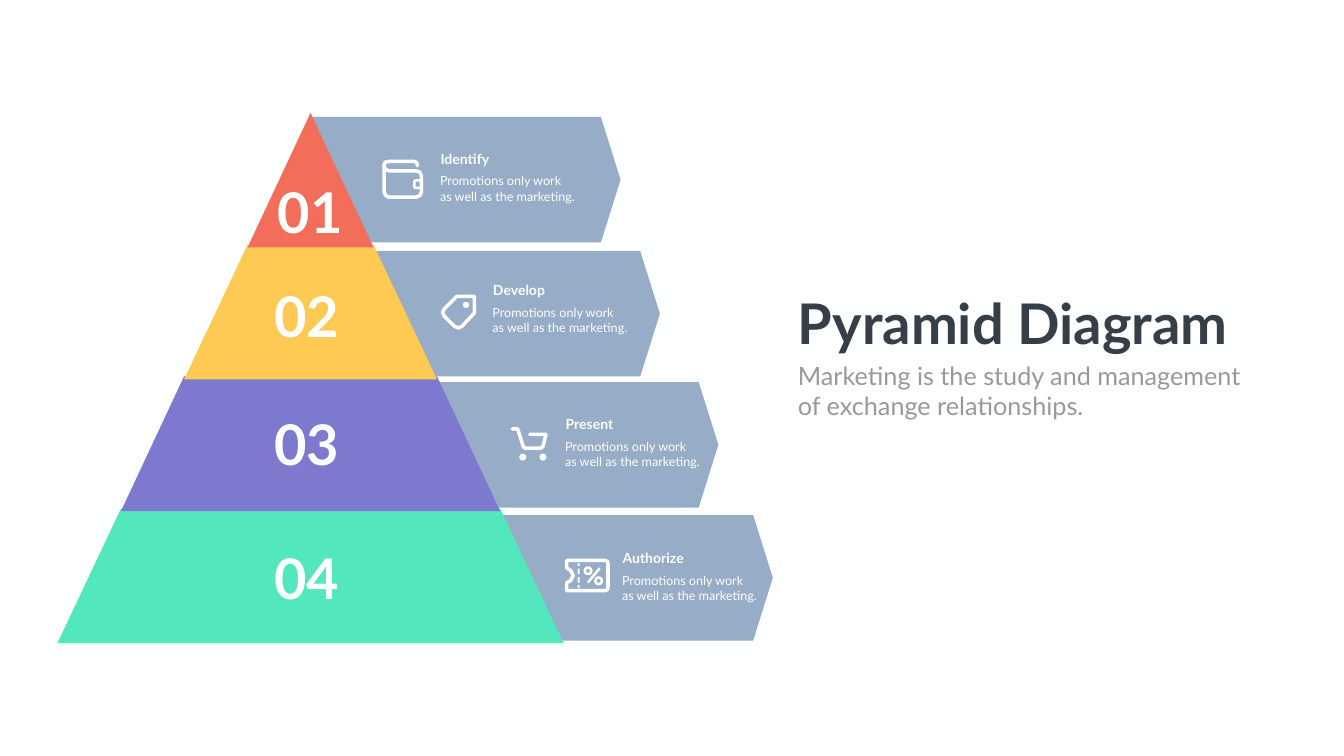
from pptx import Presentation
from pptx.dml.color import RGBColor
from pptx.enum.shapes import MSO_CONNECTOR, MSO_SHAPE
from pptx.enum.text import MSO_AUTO_SIZE
from pptx.util import Pt
from lxml import etree

PX = 9144
LINE = MSO_CONNECTOR.STRAIGHT
ARROW = MSO_SHAPE.PENTAGON
OVAL = MSO_SHAPE.OVAL
RECT = MSO_SHAPE.RECTANGLE
ROUND = MSO_SHAPE.ROUNDED_RECTANGLE
GROW = MSO_AUTO_SIZE.SHAPE_TO_FIT_TEXT
NS = "{http://schemas.openxmlformats.org/drawingml/2006/main}"
HUES = {
    "back": "FEFFFF", "banner": "97ACC7", "white": "FFFFFF",
    "red": "F26E5B", "yellow": "FECA53", "purple": "7D79CF", "green": "53E7BE",
    "title": "363E48", "gray": "989998",
}
HUES = {name: RGBColor.from_string(code) for name, code in HUES.items()}

deck = Presentation()
deck.slide_width = 2666 * PX
deck.slide_height = 1500 * PX
slide = deck.slides.add_slide(deck.slide_layouts[6])
slide.background.fill.solid()
slide.background.fill.fore_color.rgb = HUES["back"]
shapes = slide.shapes


def paint(shape, fill, width=0):
    shape.shadow.inherit = False
    if fill:
        shape.fill.solid()
        shape.fill.fore_color.rgb = HUES[fill]
    else:
        shape.fill.background()
    if width:
        shape.line.color.rgb = HUES["white"]
        shape.line.width = width * PX
        shape.line._get_or_add_ln().set("cap", "rnd")
    else:
        shape.line.fill.background()


def write(text, left, top, wide, high, size, hue, bold=False, wrap=True):
    box = shapes.add_textbox(left * PX, top * PX, wide * PX, high * PX)
    frame = box.text_frame
    frame.text = text
    frame.word_wrap = wrap
    frame.auto_size = GROW
    for para in frame.paragraphs:
        for run in para.runs:
            run.font.name = "Lato"
            run.font.size = Pt(size)
            run.font.bold = bold
            run.font.color.rgb = HUES[hue]


for top, tip in [(232, 1231), (498, 1309), (758, 1425), (1022, 1533)]:
    banner = shapes.add_shape(ARROW, 615 * PX, top * PX, (tip - 615) * PX, 249 * PX)
    banner.adjustments[0] = 39 / 249
    paint(banner, "banner")

MID, HALF, TALL = 616, 502, 267
tops = [224, 486, 747, 1009]
layers = list(zip(["red", "yellow", "purple", "green"], tops))
for step, (hue, top) in reversed(list(enumerate(layers))):
    near, far = HALF * step // 4, HALF * (step + 1) // 4
    build = shapes.build_freeform(MID - near, top, scale=PX)
    build.add_line_segments([
        (MID + near, top), (MID + far, top + TALL), (MID - far, top + TALL),
    ])
    paint(build.convert_to_shape(), hue)

wallet = [
    (762, 330), (762, 381), (765, 388), (771, 391), (826, 391), (833, 388),
    (836, 381), (836, 349), (833, 342), (826, 339), (772, 339), (765, 336),
    (761, 329), (764, 322), (772, 320), (820, 320), (826, 322), (828, 327), (828, 329),
]
tag = [
    (906, 588), (941, 588), (941, 621), (917, 647), (909, 651), (901, 647),
    (881, 627), (878, 620), (881, 613),
]
cart = [
    (1016, 851), (1027, 851), (1038, 886), (1041, 889), (1073, 889),
    (1077, 886), (1083, 862), (1051, 862),
]
ticket = [
    (1124, 1112), (1200, 1112), (1205, 1114), (1206, 1119), (1206, 1165),
    (1205, 1170), (1200, 1172), (1124, 1172), (1124, 1156), (1132, 1152),
    (1137, 1142), (1132, 1132), (1124, 1127),
]
for points, close in [(wallet, False), (tag, True), (cart, False), (ticket, True)]:
    build = shapes.build_freeform(*points[0], scale=PX)
    build.add_line_segments(points[1:], close=close)
    paint(build.convert_to_shape(), None, 7)

parts = [
    (ROUND, 822, 358, 15, 15, 5),
    (OVAL, 918, 599, 13, 12, 0),
    (OVAL, 1030, 900, 14, 14, 0),
    (OVAL, 1070, 900, 14, 14, 0),
    (OVAL, 1160, 1126, 13, 13, 5),
    (OVAL, 1181, 1146, 13, 13, 5),
    (RECT, 1146, 1118, 4, 5, 0),
    (RECT, 1146, 1128, 4, 11, 0),
    (RECT, 1146, 1145, 4, 11, 0),
    (RECT, 1146, 1161, 4, 6, 0),
]
for kind, left, top, wide, high, width in parts:
    part = shapes.add_shape(kind, left * PX, top * PX, wide * PX, high * PX)
    paint(part, None if width else "white", width)

slash = shapes.add_connector(LINE, 1167 * PX, 1155 * PX, 1189 * PX, 1128 * PX)
slash.line.color.rgb = HUES["white"]
slash.line.width = 5 * PX
slash.line._get_or_add_ln().set("cap", "rnd")
etree.SubElement(slash._element.spPr, NS + "effectLst")

write("Pyramid Diagram", 1573, 568, 890, 145, 80, "title", True, False)
write("Marketing is the study and management\nof exchange relationships.",
      1573, 710, 974, 131, 36, "gray")

items = [
    ("01", 541, 348, "Identify", 864, 293),
    ("02", 534, 553, "Develop", 968, 554),
    ("03", 534, 808, "Present", 1112, 819),
    ("04", 534, 1073, "Authorize", 1225, 1086),
]
for mark, x, y, head, left, top in items:
    write(mark, x, y, 150, 145, 80, "back", True, False)
    write(head, left, top, 185, 44, 20, "back", True)
    write("Promotions only work\nas well as the marketing.",
          left - 1, top + 46, 329, 71, 18, "back")

deck.save("out.pptx")
